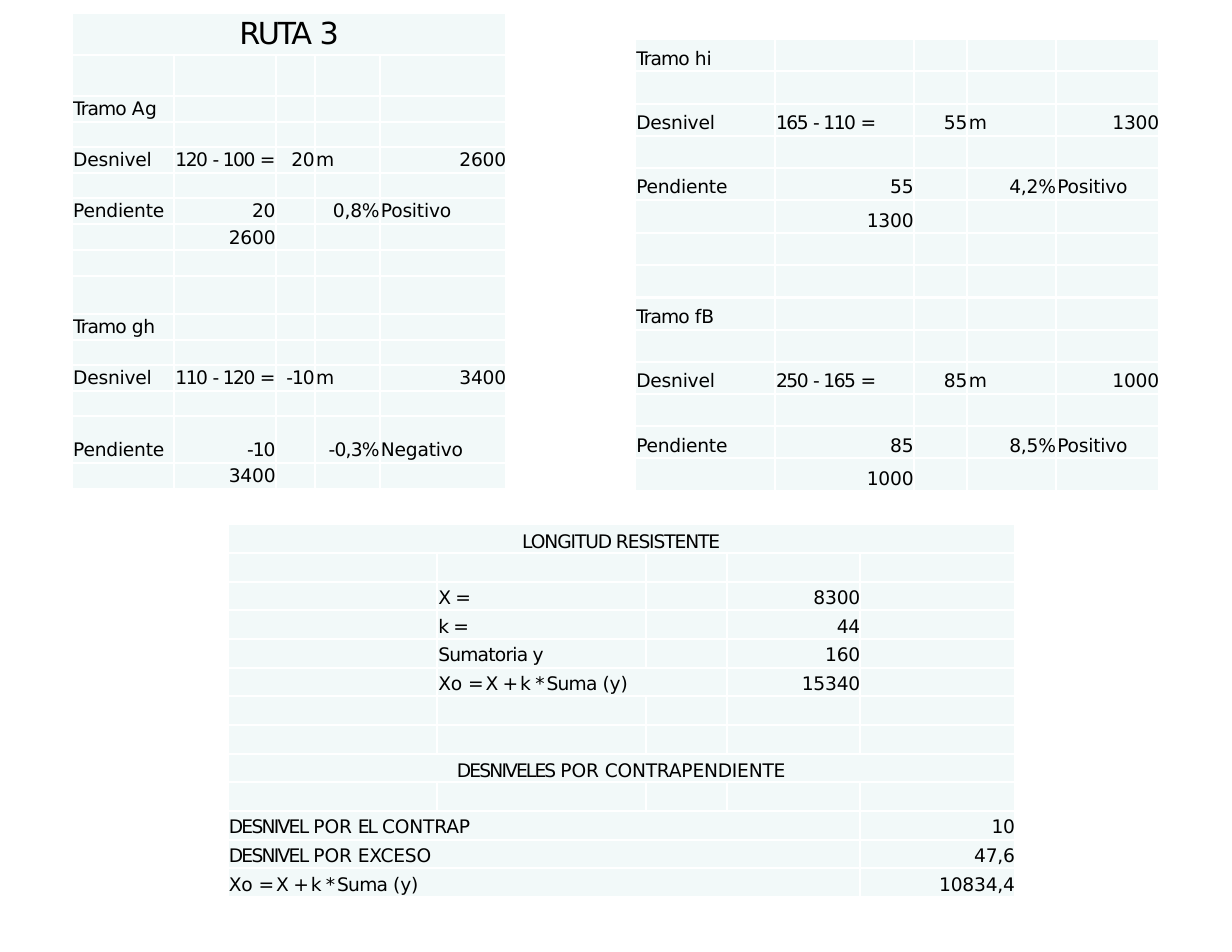
from lxml.etree import SubElement
from pptx import Presentation
from pptx.dml.color import RGBColor
from pptx.enum.text import PP_ALIGN as Align
from pptx.oxml import parse_xml
from pptx.oxml.ns import nsdecls, qn
from pptx.util import Cm, Pt

FONT = "DejaVu Sans"
BLACK, WHITE, PALE = "000000", "FFFFFF", "F2F9F9"
TITLE = "RUTA 3"

# Character spacing in points; a key with a trailing space is a word inside a line.
SPACING = {
    "RUTA ": -1.6, "3": -0.5, "Tramo ": -0.6, "Ag": 0.3, "m": -0.5,
    "- ": -1.5, "=": -3.1, "= ": -2.6, "X ": -1, "+ ": -2.6, "k ": -1.1,
    "* ": -2.5, "Suma ": -0.5, "Sumatoria ": -0.5, "y": -0.5,
    "LONGITUD ": -0.7, "RESISTENTE": -0.7, "DESNIVELES ": -1.2,
    "DESNIVEL ": -1.1, "EL ": -1.2, "POR ": -0.1, "-10": -0.6, "-0,3%": -0.5,
}
SUM_FORMULA = "Xo = X + k * Suma (y)"

tables = [
    dict(
        left=1.63, top=0.3, cols=[2.31, 2.31, 0.89, 1.47, 2.87],
        rows=[0.94] * 2 + [0.58] * 5 + [0.6, 0.58, 0.86] + [0.58] * 4 + [1.05, 0.6],
        inset=0.05, row_insets={0: 0.07, 7: 0.07, 14: 0.53, 15: 0.07},
        sum_align=Align.RIGHT, spans={0: (0, 4)},
        text={
            0: [TITLE],
            2: ["Tramo Ag"],
            4: ["Desnivel", "120 - 100 =", "20", "m", "2600"],
            6: ["Pendiente", "20", "", "0,8%", "Positivo"],
            7: ["", "2600"],
            10: ["Tramo gh"],
            12: ["Desnivel", "110 - 120 =", "-10", "m", "3400"],
            14: ["Pendiente", "-10", "", "-0,3%", "Negativo"],
            15: ["", "3400"],
        },
    ),
    dict(
        left=14.4, top=0.89, cols=[3.17, 3.15, 1.22, 2.01, 2.34],
        rows=[0.73] * 14,
        inset=0.2, row_insets={5: 0.23, 13: 0.23},
        sum_align=Align.LEFT, spans={},
        text={
            0: ["Tramo hi"],
            2: ["Desnivel", "165 - 110 =", "55", "m", "1300"],
            4: ["Pendiente", "55", "", "4,2%", "Positivo"],
            5: ["", "1300"],
            8: ["Tramo fB"],
            10: ["Desnivel", "250 - 165 =", "85", "m", "1000"],
            12: ["Pendiente", "85", "", "8,5%", "Positivo"],
            13: ["", "1000"],
        },
    ),
    dict(
        left=5.16, top=11.89, cols=[4.75, 4.75, 1.83, 3.02, 3.51],
        rows=[0.65] * 13,
        inset=0.13, row_insets={0: 0.15, 8: 0.15},
        sum_align=Align.LEFT,
        spans={0: (0, 4), 5: (1, 2), 8: (0, 4), 10: (0, 3), 11: (0, 3), 12: (0, 3)},
        text={
            0: ["LONGITUD RESISTENTE"],
            2: ["", "X =", "", "8300"],
            3: ["", "k =", "", "44"],
            4: ["", "Sumatoria y", "", "160"],
            5: ["", SUM_FORMULA, "", "15340"],
            8: ["DESNIVELES POR CONTRAPENDIENTE"],
            10: ["DESNIVEL POR EL CONTRAP", "", "", "", "10"],
            11: ["DESNIVEL POR EXCESO", "", "", "", "47,6"],
            12: [SUM_FORMULA, "", "", "", "10834,4"],
        },
    ),
]


def rgb(value):
    return RGBColor.from_string(value)


def format_cell(cell, text, align, inset):
    """Fill and border the cell, then write its text word by word."""
    cell.margin_left = cell.margin_right = cell.margin_bottom = 0
    cell.margin_top = Cm(inset)
    tc_pr = cell._tc.get_or_add_tcPr()
    for side in ("lnL", "lnR", "lnT", "lnB"):
        tc_pr.append(parse_xml(
            f'<a:{side} {nsdecls("a")} w="{Pt(1.5)}"><a:solidFill>'
            f'<a:srgbClr val="{WHITE}"/></a:solidFill></a:{side}>'))
    cell.fill.solid()
    cell.fill.fore_color.rgb = rgb(PALE)

    p = cell.text_frame.paragraphs[0]
    if not text:
        SubElement(p._p, qn("a:endParaRPr")).set("sz", "1200")
        return
    p.alignment = align
    if align == Align.LEFT:
        p._p.get_or_add_pPr().set("marL", str(Cm(0.03)))
    if text != TITLE:
        p.line_spacing = Pt(13.9)
    words = text.split(" ")
    for i, word in enumerate(words):
        r = p.add_run()
        r.text = word if i == len(words) - 1 else word + " "
        r.font.name = FONT
        r.font.size = Pt(19.5 if text == TITLE else 12)
        r.font.color.rgb = rgb(BLACK)
        default = -0.95 if r.text[0].isdigit() and r.text[-1] == " " else -0.15
        spacing = SPACING.get(r.text, default)
        r._r.get_or_add_rPr().set("spc", str(round(spacing * 100)))


prs = Presentation()
prs.slide_width, prs.slide_height = Cm(27.94), Cm(21.59)
s = prs.slides.add_slide(prs.slide_layouts[6])

for t in tables:
    cols, rows = t["cols"], t["rows"]
    table = s.shapes.add_table(len(rows), len(cols), Cm(t["left"]), Cm(t["top"]),
                               Cm(sum(cols)), Cm(sum(rows))).table
    for col, width in zip(table.columns, cols):
        col.width = Cm(width)
    for i, height in enumerate(rows):
        table.rows[i].height = Cm(height)
        first, last = t["spans"].get(i, (0, 0))
        if last:
            table.cell(i, first).merge(table.cell(i, last))
        texts = t["text"].get(i, [])
        for j in range(len(cols)):
            text = texts[j] if j < len(texts) else ""
            if last - first == 4:
                align = Align.CENTER
            elif text.endswith("=") and text[0].isdigit():
                align = t["sum_align"]
            elif text and (text[-1].isdigit() or text[-1] == "%"):
                align = Align.RIGHT
            else:
                align = Align.LEFT
            format_cell(table.cell(i, j), text, align, t["row_insets"].get(i, t["inset"]))

prs.save("out.pptx")
